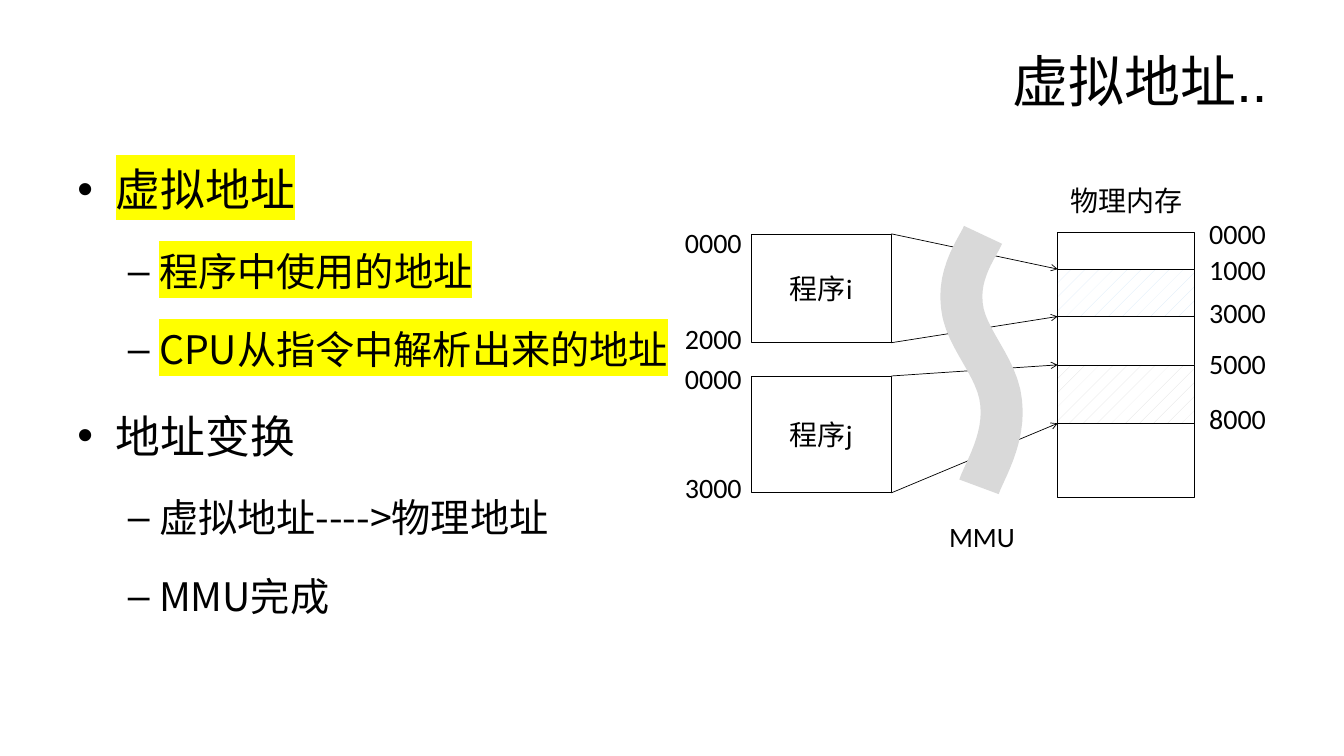
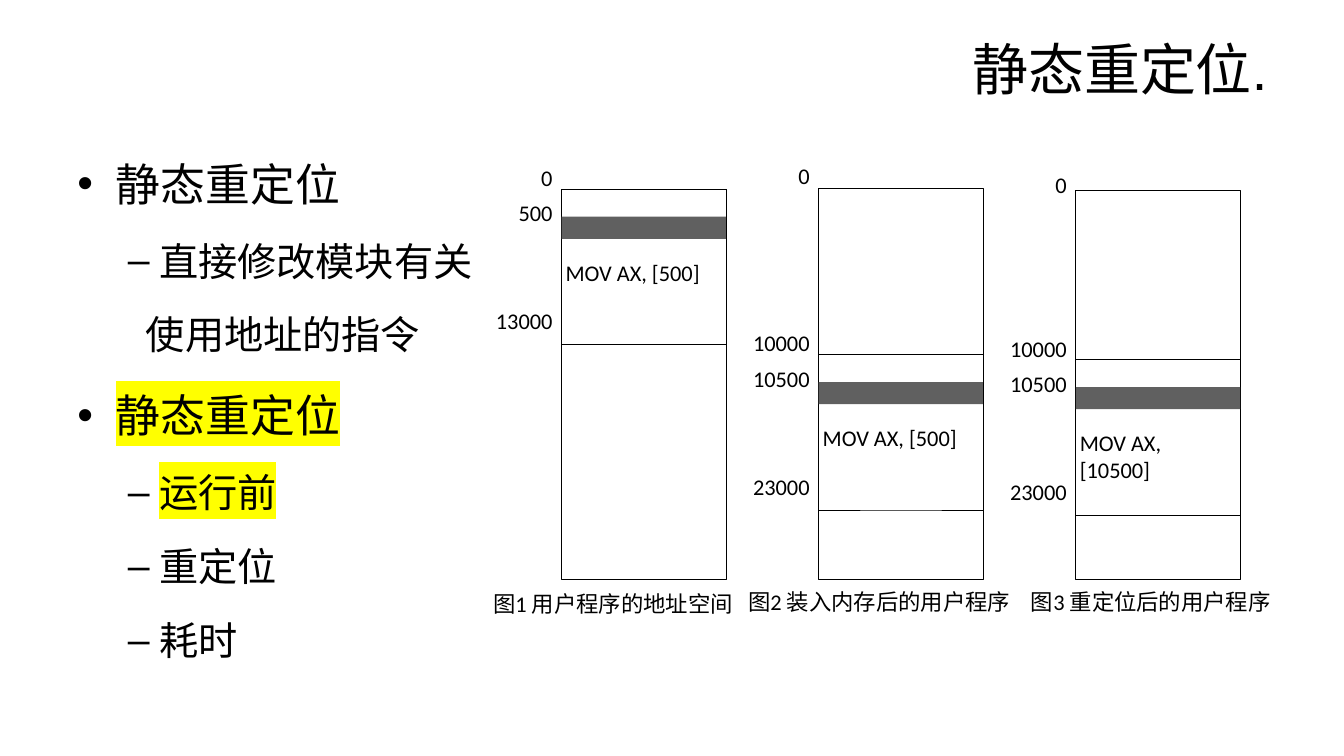
import lxml.etree
import pptx
import pptx.dml.color
import pptx.enum.dml
import pptx.enum.shapes
import pptx.enum.text
import pptx.oxml.ns
import pptx.util

Inches, Pt, qn = pptx.util.Inches, pptx.util.Pt, pptx.oxml.ns.qn
SubElement = lxml.etree.SubElement
PP_ALIGN = pptx.enum.text.PP_ALIGN
ANCHOR = pptx.enum.text.MSO_ANCHOR
RGB = pptx.dml.color.RGBColor

# Shared style
BLACK, WHITE = RGB(0, 0, 0), RGB(255, 255, 255)
HATCH_BLUE, HATCH_GREY = RGB(0xD6, 0xE8, 0xF8), RGB(0xDD, 0xDD, 0xDD)
WAVE_GREY, BAR_GREY = RGB(0xD9, 0xD9, 0xD9), RGB(0x60, 0x60, 0x60)
HIGHLIGHT = "FFFF00"
CJK_FONT, TITLE_FONT, FIGURE_FONT = "Noto Sans CJK SC", "Arial", "Calibri"
MARGIN, TITLE_W, TITLE_H = 0.67, 12, 0.99
BODY_TOP, BODY_H, PARAGRAPH_GAP = 1.29, 5.52, 0.2
# level: (size, text indent, hanging, bullet)
LEVELS = {0: (32, 0.38, 0.38, "•"), 1: (28, 0.81, 0.31, "–"), "more": (28, 0.68, 0, None)}

# Content: (level, text, highlighted)
VIRTUAL = dict(
    title="虚拟地址..", title_top=0.3, body_width=6.4, line_spacing=1.5,
    body=[
        (0, "虚拟地址", True),
        (1, "程序中使用的地址", True),
        (1, "CPU从指令中解析出来的地址", True),
        (0, "地址变换", False),
        (1, "虚拟地址---->物理地址", False),
        (1, "MMU完成", False),
    ])
STATIC = dict(
    title="静态重定位.", title_top=0.18, body_width=4.2, line_spacing=1.4,
    body=[
        (0, "静态重定位", False),
        (1, "直接修改模块有关", False),
        ("more", "使用地址的指令", False),
        (0, "静态重定位", True),
        (1, "运行前", True),
        (1, "重定位", False),
        (1, "耗时", False),
    ])

# Address mapping: each program (top, height) maps to a band of memory (top, height)
PROGRAM_LEFT, PROGRAM_W = 7.45, 1.39
MEMORY_LEFT, MEMORY_TOP, MEMORY_W, MEMORY_H = 10.49, 2.31, 1.36, 2.62
PROGRAMS = [
    dict(name="程序i", place=(2.32, 1.08), band=(2.67, 0.47), hatch=HATCH_BLUE),
    dict(name="程序j", place=(3.73, 1.16), band=(3.62, 0.58), hatch=HATCH_GREY),
]
ADDRESS_W, LABEL_H = 0.71, 0.38
PROGRAM_ADDRESSES = [("0000", 2.21), ("2000", 3.17), ("0000", 3.56), ("3000", 4.64)]
MEMORY_ADDRESSES = [("0000", 2.12), ("1000", 2.48), ("3000", 2.91), ("5000", 3.41), ("8000", 3.96)]
WAVE_START = (9.75, 2.33)
WAVE_CURVES = [
    [(9.7, 2.45), (9.5, 2.7), (9.54, 3.03)],
    [(9.57, 3.36), (9.9, 3.64), (9.93, 4)],
    [(9.97, 4.36), (9.76, 4.68), (9.71, 4.83)],
]

# Relocation figures: program addresses are (start, data, end)
COLUMN_LEFT, COLUMN_PITCH, COLUMN_W, COLUMN_BOTTOM = 5.57, 2.55, 1.63, 5.75
MODULE_H, BAR_OFFSET, BAR_H, CODE_OFFSET = 1.54, 0.27, 0.22, 0.69
LABEL_OFFSETS = (-0.25, 0.1, 1.17)
FIGURES = [
    dict(top=1.88, module=1.88, zero=None, addresses=("0", "500", "13000"),
         code="MOV AX, [500]", caption="图1 用户程序的地址空间", place=(4.88, 5.85, 2.4)),
    dict(top=1.87, module=3.52, zero=1.61, addresses=("10000", "10500", "23000"),
         code="MOV AX, [500]", caption="图2 装入内存后的用户程序", place=(7.4, 5.83, 2.64)),
    dict(top=1.89, module=3.57, zero=1.7, addresses=("10000", "10500", "23000"),
         code="MOV AX, [10500]", caption="图3 重定位后的用户程序", place=(10.16, 5.83, 2.51)),
]


def style(paragraph, size, font, align=PP_ALIGN.LEFT):
    paragraph.alignment = align
    paragraph.font.size = Pt(size)
    paragraph.font.color.rgb = BLACK
    paragraph.font.name = font
    SubElement(paragraph.font._element, qn("a:ea")).set("typeface", CJK_FONT)


def fill_frame(frame, text, size, font, align, anchor, inset=0):
    frame.word_wrap = True
    frame.vertical_anchor = anchor
    frame.margin_left = frame.margin_right = Inches(inset)
    frame.margin_top = frame.margin_bottom = Inches(inset / 2)
    frame.paragraphs[0].text = text
    style(frame.paragraphs[0], size, font, align)


def add_label(slide, text, left, top, width, height=LABEL_H, size=20, font=FIGURE_FONT,
              align=PP_ALIGN.CENTER, anchor=ANCHOR.MIDDLE, inset=0):
    box = slide.shapes.add_textbox(*map(Inches, (left, top, width, height)))
    fill_frame(box.text_frame, text, size, font, align, anchor, inset)


def add_rect(slide, left, top, width, height, text=None, color=None, hatch=None):
    rect = slide.shapes.add_shape(pptx.enum.shapes.MSO_SHAPE.RECTANGLE,
                                  *map(Inches, (left, top, width, height)))
    rect.shadow.inherit = False
    if color is not None:
        rect.fill.solid()
        rect.fill.fore_color.rgb = color
        rect.line.fill.background()
        return
    if hatch is not None:
        rect.fill.patterned()
        rect.fill.pattern = pptx.enum.dml.MSO_PATTERN.PERCENT_5
        rect.fill.fore_color.rgb, rect.fill.back_color.rgb = hatch, WHITE
    else:
        rect.fill.background()
    rect.line.color.rgb = BLACK
    rect.line.width = Pt(0.5)
    if text:
        fill_frame(rect.text_frame, text, 20, FIGURE_FONT, PP_ALIGN.CENTER, ANCHOR.MIDDLE)


def add_arrow(slide, *ends):
    arrow = slide.shapes.add_connector(pptx.enum.shapes.MSO_CONNECTOR.STRAIGHT, *map(Inches, ends))
    arrow.line.color.rgb = BLACK
    arrow.line.width = Pt(0.5)
    head = SubElement(arrow.line._get_or_add_ln(), qn("a:tailEnd"))
    for key, value in (("type", "arrow"), ("w", "sm"), ("len", "sm")):
        head.set(key, value)
    SubElement(arrow._element.spPr, qn("a:effectLst"))


def add_wave(slide):
    points, start = [], WAVE_START
    for control_a, control_b, end in WAVE_CURVES:
        for t in (step / 12 for step in range(1, 13)):
            weights = ((1 - t) ** 3, 3 * t * (1 - t) ** 2, 3 * t * t * (1 - t), t ** 3)
            corners = (start, control_a, control_b, end)
            points.append([Inches(sum(w * c[axis] for w, c in zip(weights, corners)))
                           for axis in (0, 1)])
        start = end
    builder = slide.shapes.build_freeform(*map(Inches, WAVE_START))
    builder.add_line_segments(points, close=False)
    wave = builder.convert_to_shape()
    wave.shadow.inherit = False
    wave.fill.background()
    wave.line.color.rgb = WAVE_GREY
    wave.line.width = Pt(30)


def add_body_line(paragraph, level, text, highlighted, line_spacing, gap):
    size, indent, hanging, bullet = LEVELS[level]
    properties = paragraph._p.get_or_add_pPr()
    properties.set("marL", str(Inches(indent)))
    properties.set("indent", str(-Inches(hanging)))
    paragraph.line_spacing = line_spacing
    paragraph.space_before = Pt(round(size * gap, 1))
    if bullet:
        SubElement(properties, qn("a:buFont")).set("typeface", "Arial")
        SubElement(properties, qn("a:buChar")).set("char", bullet)
    run = paragraph.add_run()
    run.text = text
    if highlighted:
        mark = SubElement(run._r.get_or_add_rPr(), qn("a:highlight"))
        SubElement(mark, qn("a:srgbClr")).set("val", HIGHLIGHT)
    style(paragraph, size, CJK_FONT)


def add_text_slide(deck, content):
    slide = deck.slides.add_slide(deck.slide_layouts[6])
    add_label(slide, content["title"], MARGIN, content["title_top"], TITLE_W, TITLE_H,
              40, TITLE_FONT, PP_ALIGN.RIGHT, inset=0.1)
    body = slide.shapes.add_textbox(*map(Inches, (MARGIN, BODY_TOP, content["body_width"], BODY_H)))
    frame = body.text_frame
    frame.word_wrap = True
    for index, line in enumerate(content["body"]):
        paragraph = frame.add_paragraph() if index else frame.paragraphs[0]
        add_body_line(paragraph, *line, content["line_spacing"], PARAGRAPH_GAP if index else 0)
    return slide


def draw_mapping(slide):
    add_rect(slide, MEMORY_LEFT, MEMORY_TOP, MEMORY_W, MEMORY_H)
    add_label(slide, "物理内存", MEMORY_LEFT, 1.8, MEMORY_W)
    add_label(slide, "MMU", 9.14, 5.13, 1.2)
    for program in PROGRAMS:
        (top, height), (band_top, band_height) = program["place"], program["band"]
        add_rect(slide, PROGRAM_LEFT, top, PROGRAM_W, height, program["name"])
        add_rect(slide, MEMORY_LEFT, band_top, MEMORY_W, band_height, hatch=program["hatch"])
        for start, end in ((top, band_top), (top + height, band_top + band_height)):
            add_arrow(slide, PROGRAM_LEFT + PROGRAM_W, start, MEMORY_LEFT, end)
    for left, addresses in ((6.72, PROGRAM_ADDRESSES), (11.92, MEMORY_ADDRESSES)):
        for address, top in addresses:
            add_label(slide, address, left, top, ADDRESS_W)
    add_wave(slide)


def draw_relocation(slide):
    small = dict(size=16, anchor=ANCHOR.TOP)
    for index, figure in enumerate(FIGURES):
        left = COLUMN_LEFT + index * COLUMN_PITCH
        top, module = figure["top"], figure["module"]
        add_rect(slide, left, top, COLUMN_W, COLUMN_BOTTOM - top)
        add_rect(slide, left, module, COLUMN_W, MODULE_H)
        add_rect(slide, left, module + BAR_OFFSET, COLUMN_W, BAR_H, color=BAR_GREY)
        add_label(slide, figure["code"], left + 0.04, module + CODE_OFFSET, 1.54, 0.68,
                  align=PP_ALIGN.LEFT, **small)
        labels = [(text, module + offset) for text, offset in zip(figure["addresses"], LABEL_OFFSETS)]
        if figure["zero"]:
            labels.append(("0", figure["zero"]))
        for text, label_top in labels:
            add_label(slide, text, left - 0.84, label_top, 0.75, 0.3, align=PP_ALIGN.RIGHT, **small)
        add_label(slide, figure["caption"], *figure["place"], **small)


def main():
    deck = pptx.Presentation()
    deck.slide_width, deck.slide_height = Inches(13.33), Inches(7.5)
    draw_mapping(add_text_slide(deck, VIRTUAL))
    draw_relocation(add_text_slide(deck, STATIC))
    deck.save("out.pptx")


if __name__ == "__main__":
    main()
